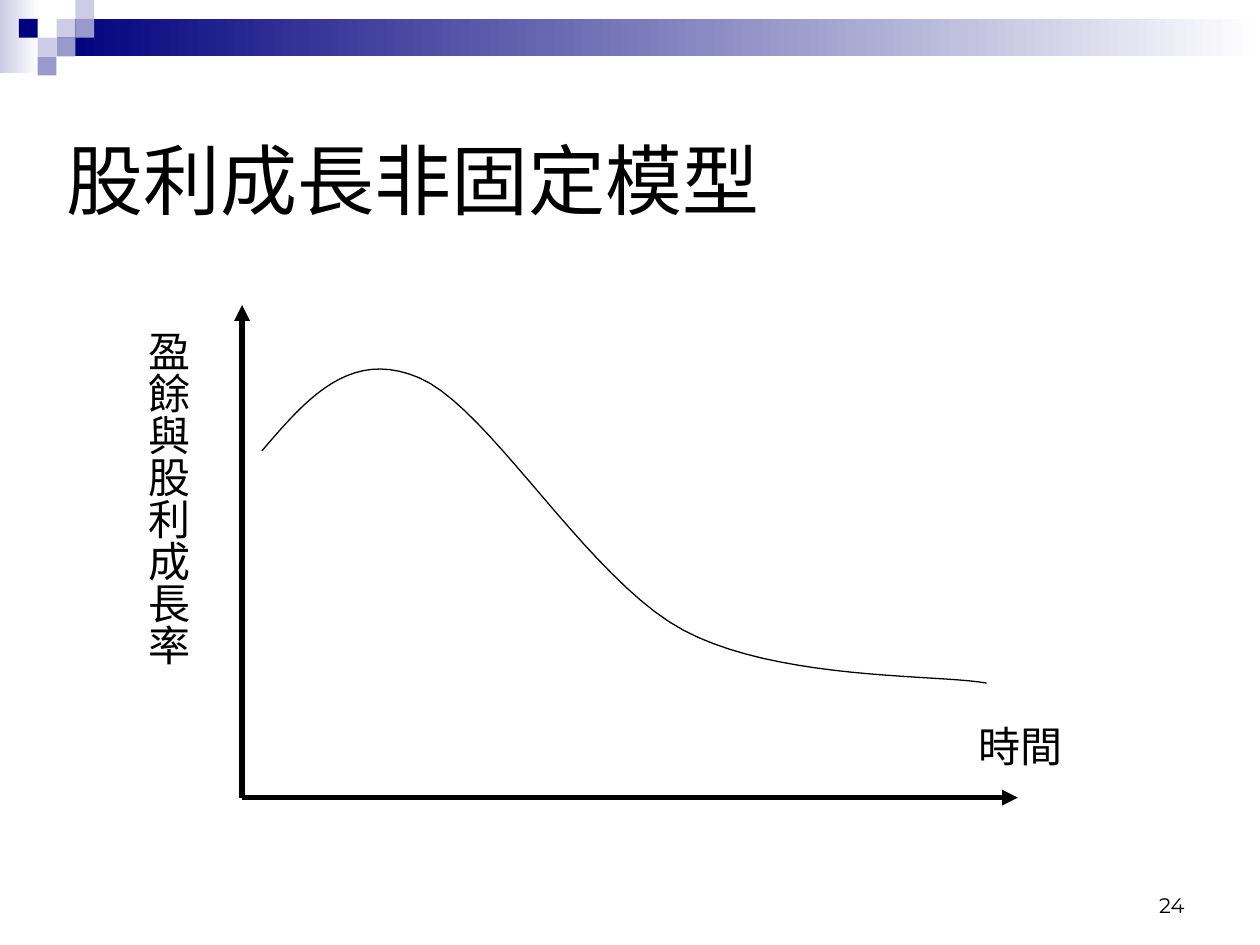
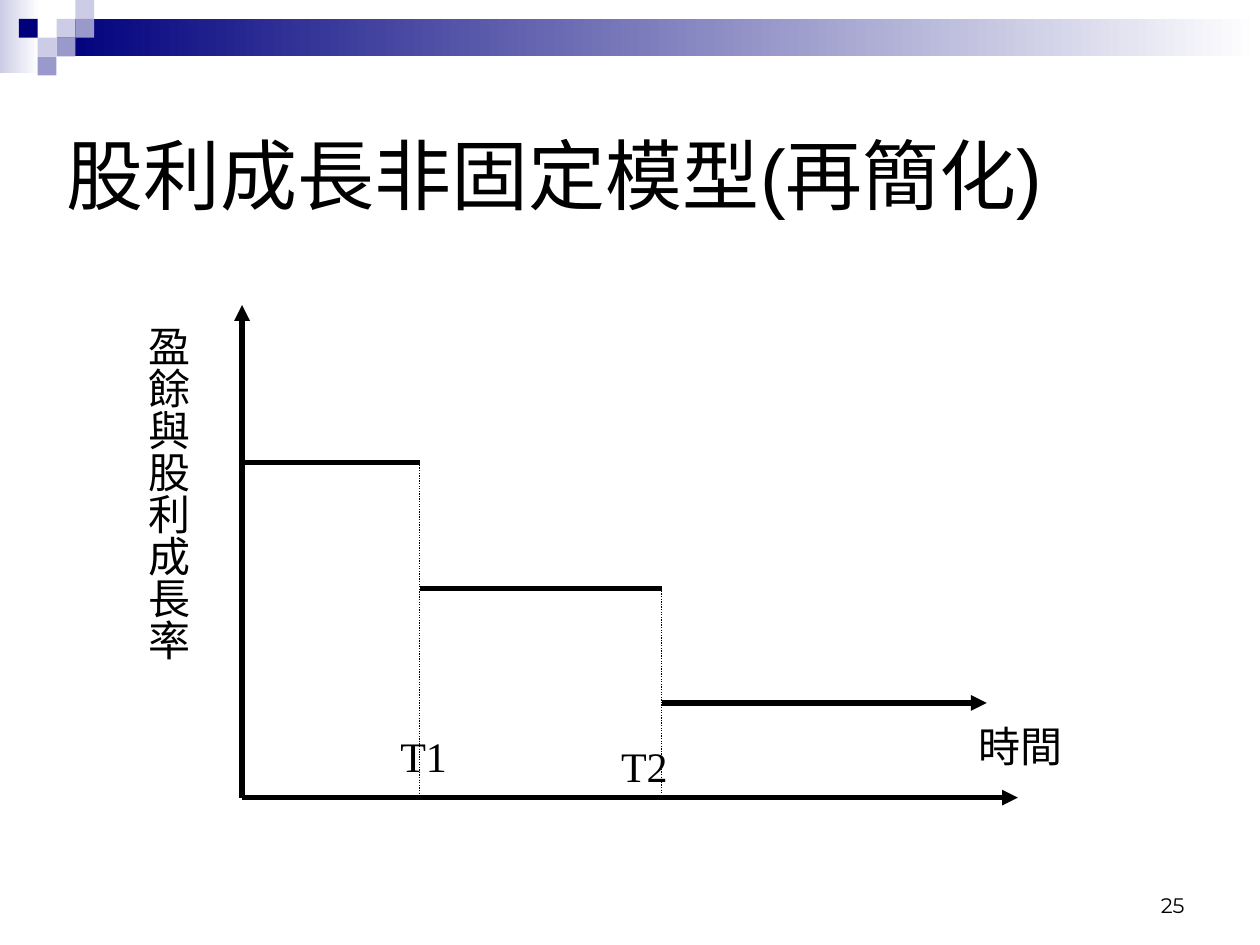
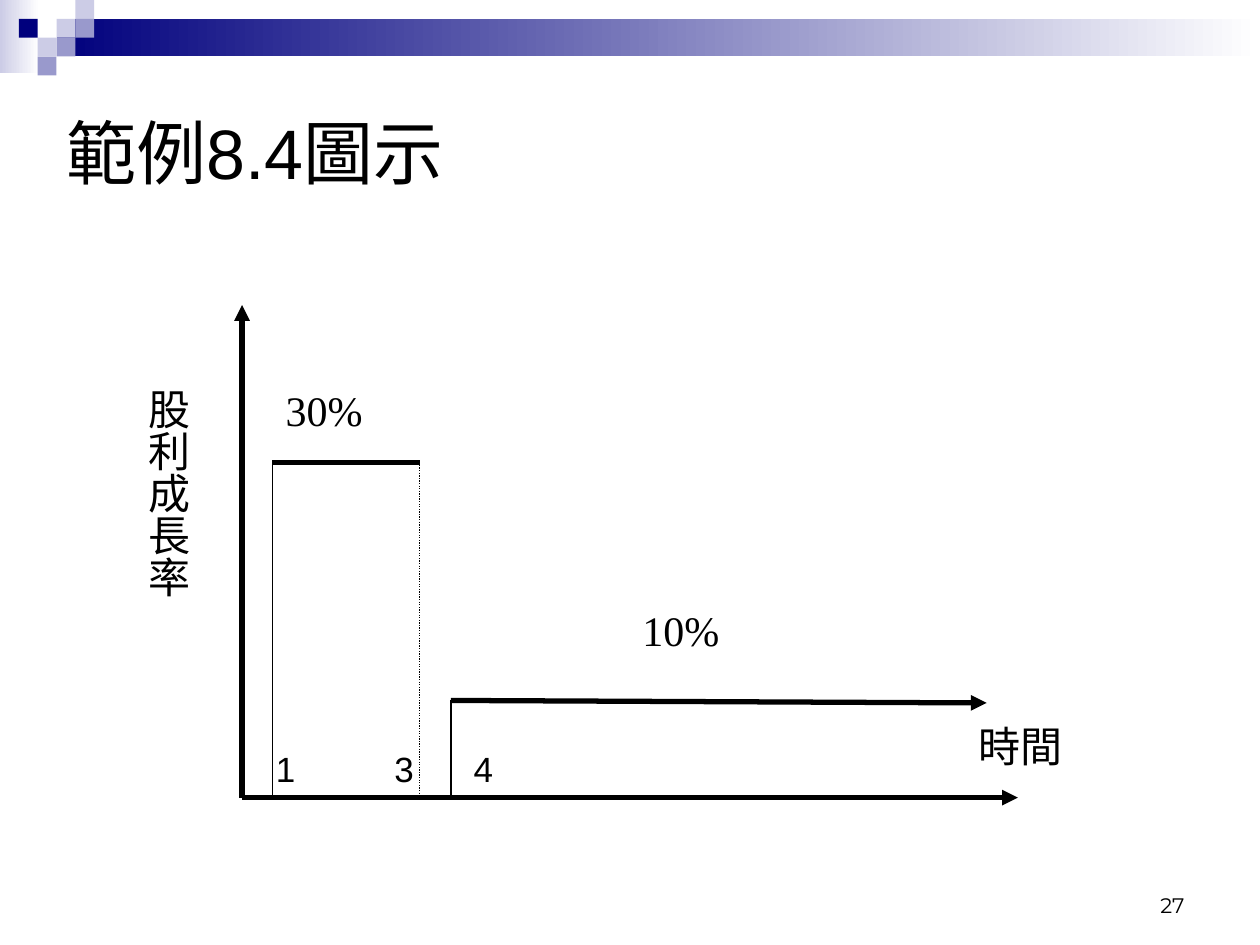
from lxml.etree import SubElement
from pptx import Presentation
from pptx.dml.color import RGBColor
from pptx.enum.dml import MSO_LINE
from pptx.enum.shapes import MSO_CONNECTOR, MSO_SHAPE
from pptx.enum.text import MSO_ANCHOR, PP_ALIGN
from pptx.oxml.ns import qn
from pptx.util import Cm, Pt

NAVY = RGBColor(0x00, 0x00, 0x7D)
LAVENDER = RGBColor(0xCC, 0xCC, 0xE6)
VIOLET = RGBColor(0x99, 0x99, 0xCC)
WHITE = RGBColor(0xFF, 0xFF, 0xFF)
BLACK = RGBColor(0x00, 0x00, 0x00)
SANS, SERIF, NUMBER_FONT = "Arial", "Times New Roman", "Montserrat"

# Header mosaic: column, row and colour of each square tile (cm grid)
TILE = 0.38
TILES = [
    (3, 1, LAVENDER), (4, 0, LAVENDER), (4, 1, VIOLET), (2, 2, LAVENDER),
    (1, 1, NAVY), (3, 2, VIOLET), (2, 3, VIOLET),
]

# Chart axes and line styles: width in points, dash, arrowhead
ORIGIN_X, ORIGIN_Y = 4.88, 16.08
AXIS_TOP, AXIS_RIGHT = 6.15, 20.52
STYLES = {
    "step": (3, None, False),
    "arrow": (3, None, True),
    "dotted": (0.75, MSO_LINE.ROUND_DOT, False),
    "thin": (0.75, None, False),
}

# Growth curve: start point, then two controls and an end for each segment
CURVE_START = (5.28, 9.09)
CURVE_SEGMENTS = [
    ((6.17, 8.05), (7.06, 7.01), (8.46, 7.62)),
    ((9.88, 8.23), (11.86, 11.68), (13.77, 12.7)),
    ((15.67, 13.72), (18.87, 13.59), (19.89, 13.77)),
]
CURVE_STEPS = 20

# Time marks and growth levels shared by the step charts
FIRST_END, SECOND_END, LAST_X = 8.46, 13.34, 19.89
HIGH, MIDDLE, LOW = 9.32, 11.86, 14.17
YEAR_1, YEAR_4, YEAR_4_LEVEL, FOOT = 5.49, 9.09, 14.12, 16.13

# Boxes are left, top, width, height; lines are start x, y, end x, y, style
SLIDES = [
    {
        "number": "24",
        "title": ("股利成長非固定模型", 44, (1.09, 2.13, 22.61, 2.95)),
        "axis": ("盈餘與股利成長率", 7.82),
        "curve": True,
        "lines": [],
        "labels": [],
    },
    {
        "number": "25",
        "title": ("股利成長非固定模型(再簡化)", 44, (1.09, 1.73, 22.17, 3.56)),
        "axis": ("盈餘與股利成長率", 7.62),
        "curve": False,
        "lines": [
            (ORIGIN_X, HIGH, FIRST_END, HIGH, "step"),
            (FIRST_END, HIGH, FIRST_END, ORIGIN_Y, "dotted"),
            (FIRST_END, MIDDLE, SECOND_END, MIDDLE, "step"),
            (SECOND_END, MIDDLE, SECOND_END, ORIGIN_Y, "dotted"),
            (SECOND_END, LOW, LAST_X, LOW, "arrow"),
        ],
        "labels": [
            ("T2", 24, SERIF, (12.27, 14.81, 2.34, 1.27)),
            ("T1", 24, SERIF, (7.82, 14.6, 2.54, 1.27)),
        ],
    },
    {
        "number": "27",
        "title": ("範例8.4圖示", 40, (1.09, 1.52, 22.4, 3.07)),
        "axis": ("股利成長率", 7.62),
        "curve": False,
        "lines": [
            (YEAR_1, HIGH, FIRST_END, HIGH, "step"),
            (FIRST_END, HIGH, FIRST_END, ORIGIN_Y, "dotted"),
            (YEAR_4, YEAR_4_LEVEL, LAST_X, LOW, "arrow"),
            (YEAR_1, HIGH, YEAR_1, FOOT, "thin"),
            (YEAR_4, YEAR_4_LEVEL, YEAR_4, FOOT, "thin"),
        ],
        "labels": [
            ("3", 20, SANS, (7.7, 14.94, 0.99, 1.12)),
            ("30%", 24, SERIF, (5.51, 7.62, 2.54, 1.27)),
            ("10%", 24, SERIF, (12.7, 12.07, 3.38, 1.27)),
            ("1", 20, SANS, (5.31, 14.94, 0.81, 1.12)),
            ("4", 20, SANS, (9.3, 14.94, 0.81, 1.12)),
        ],
    },
]


def add_rectangle(slide, box, color, fade=False):
    shape = slide.shapes.add_shape(MSO_SHAPE.RECTANGLE, *map(Cm, box))
    shape.shadow.inherit = False
    shape.line.fill.background()
    if fade:
        shape.fill.gradient()
        shape.fill.gradient_angle = 0
        for stop, stop_color in zip(shape.fill.gradient_stops, (color, WHITE)):
            stop.color.rgb = stop_color
    else:
        shape.fill.solid()
        shape.fill.fore_color.rgb = color


def add_text(slide, text, size, font_name, box,
             anchor=MSO_ANCHOR.TOP, align=PP_ALIGN.LEFT):
    shape = slide.shapes.add_textbox(*map(Cm, box))
    frame = shape.text_frame
    frame.word_wrap = True
    frame.vertical_anchor = anchor
    paragraph = frame.paragraphs[0]
    paragraph.text = text
    paragraph.alignment = align
    paragraph.font.name = font_name
    paragraph.font.size = Pt(size)
    paragraph.font.color.rgb = BLACK
    return frame


def add_vertical_text(slide, text, height):
    size = 24
    frame = add_text(slide, text, size, SERIF, (2.51, AXIS_TOP, 1.52, height))
    frame.margin_left = frame.margin_right = Cm(0.13)
    # The top margin centres the column of characters in its box
    frame.margin_top = (Cm(height) - len(text) * Pt(size)) // 2
    frame.margin_bottom = 0
    frame._txBody.bodyPr.set("vert", "eaVert")


def add_line(slide, start_x, start_y, end_x, end_y, style):
    width, dash, arrow = STYLES[style]
    ends = map(Cm, (start_x, start_y, end_x, end_y))
    connector = slide.shapes.add_connector(MSO_CONNECTOR.STRAIGHT, *ends)
    connector.line.color.rgb = BLACK
    connector.line.width = Pt(width)
    if dash is not None:
        connector.line.dash_style = dash
    if arrow:
        SubElement(connector.line._get_or_add_ln(), qn("a:tailEnd"), type="triangle")
    SubElement(connector._element.spPr, qn("a:effectLst"))


def bezier(start, control_1, control_2, end, t):
    u = 1 - t
    weights = (u ** 3, 3 * u * u * t, 3 * u * t * t, t ** 3)
    points = (start, control_1, control_2, end)
    return tuple(sum(w * p[axis] for w, p in zip(weights, points)) for axis in (0, 1))


def add_curve(slide):
    start, points = CURVE_START, []
    for segment in CURVE_SEGMENTS:
        points += [bezier(start, *segment, step / CURVE_STEPS)
                   for step in range(1, CURVE_STEPS + 1)]
        start = segment[-1]
    # Full-resolution units keep the short segments smooth
    builder = slide.shapes.build_freeform(*map(Cm, CURVE_START))
    builder.add_line_segments([(Cm(x), Cm(y)) for x, y in points], close=False)
    shape = builder.convert_to_shape()
    shape.shadow.inherit = False
    shape.fill.background()
    shape.line.color.rgb = BLACK
    shape.line.width = Pt(0.75)


def add_header(slide):
    add_rectangle(slide, (0, 0, 0.79, 1.47), LAVENDER, fade=True)
    add_rectangle(slide, (3 * TILE, TILE, 25.4 - 3 * TILE, 2 * TILE), NAVY, fade=True)
    for column, row, color in TILES:
        add_rectangle(slide, (column * TILE, row * TILE, TILE, TILE), color)


def add_axes(slide, label, height):
    add_line(slide, ORIGIN_X, ORIGIN_Y, ORIGIN_X, AXIS_TOP, "arrow")
    add_line(slide, ORIGIN_X, ORIGIN_Y, AXIS_RIGHT, ORIGIN_Y, "arrow")
    add_vertical_text(slide, label, height)
    add_text(slide, "時間", 24, SERIF, (19.48, 14.4, 4.45, 1.27))


def build_slide(presentation, content):
    slide = presentation.slides.add_slide(presentation.slide_layouts[6])
    add_header(slide)
    add_text(slide, content["number"], 12, NUMBER_FONT, (18.21, 17.35, 5.92, 1.27),
             MSO_ANCHOR.BOTTOM, PP_ALIGN.RIGHT)
    title, size, box = content["title"]
    add_text(slide, title, size, SANS, box, MSO_ANCHOR.MIDDLE)
    add_axes(slide, *content["axis"])
    if content["curve"]:
        add_curve(slide)
    for line in content["lines"]:
        add_line(slide, *line)
    for label in content["labels"]:
        add_text(slide, *label)


def main():
    presentation = Presentation()
    presentation.slide_width, presentation.slide_height = Cm(25.4), Cm(19.05)
    for content in SLIDES:
        build_slide(presentation, content)
    presentation.save("out.pptx")


if __name__ == "__main__":
    main()
